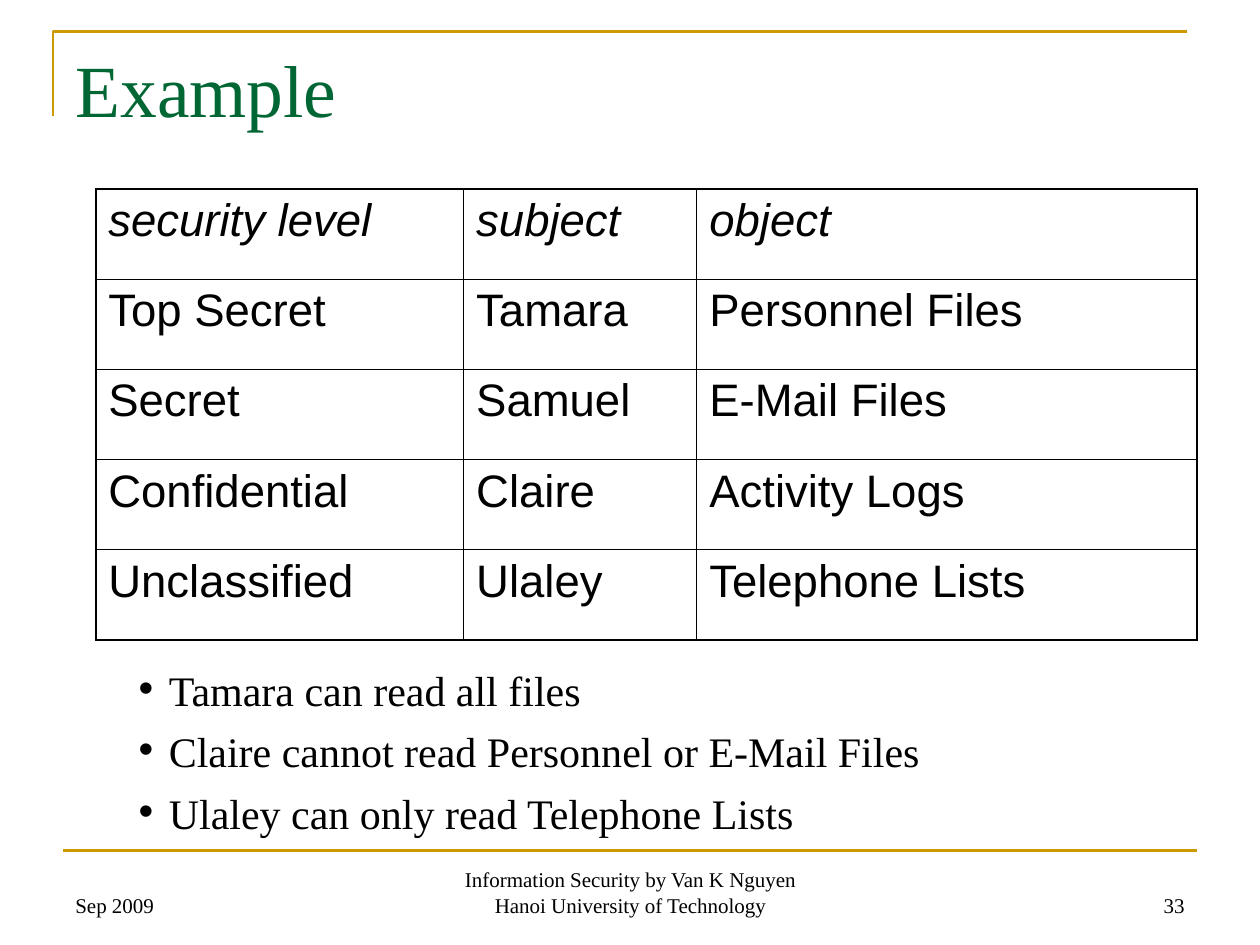
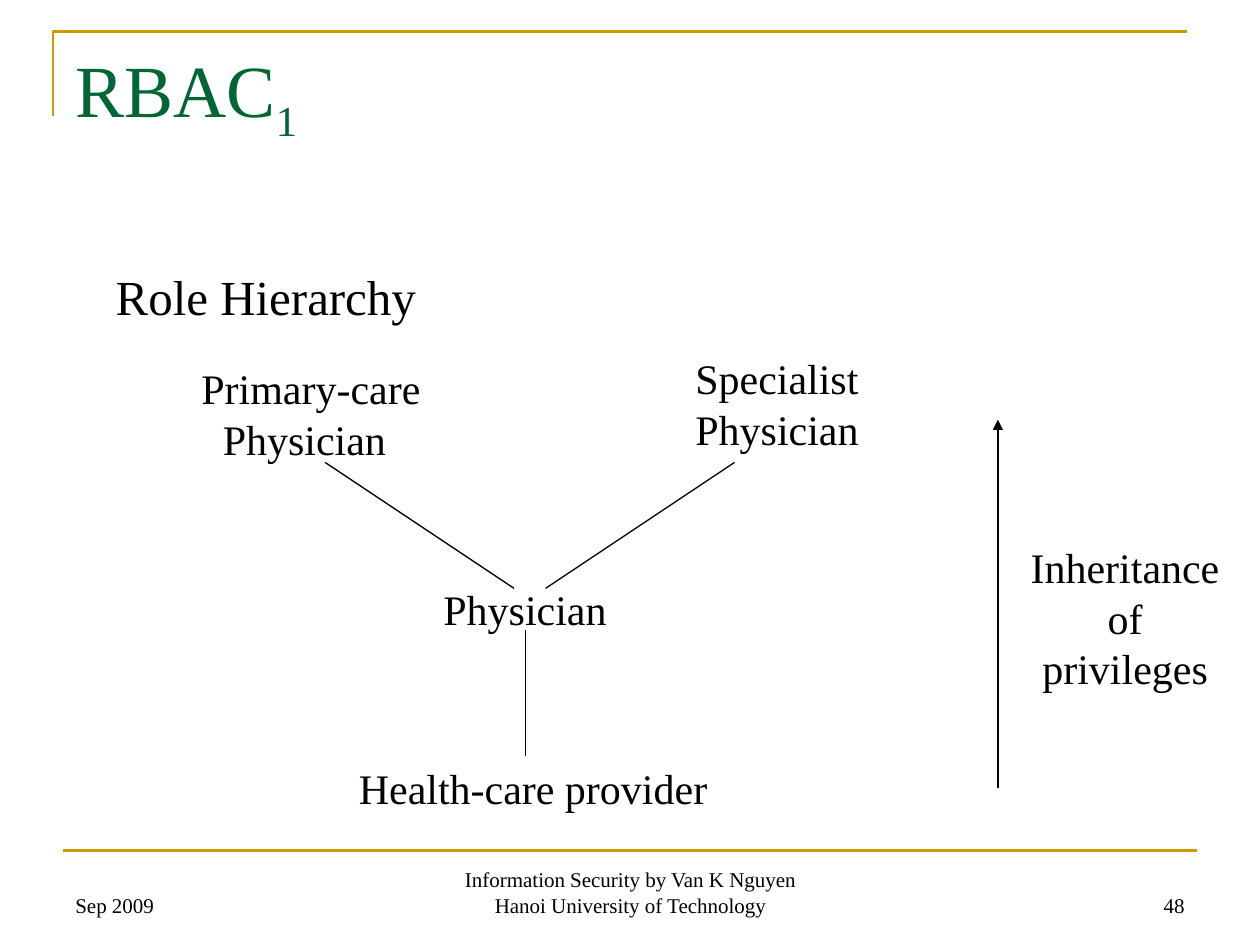
from dataclasses import dataclass

from lxml import etree
from pptx import Presentation
from pptx.dml.color import RGBColor
from pptx.enum.shapes import MSO_CONNECTOR
from pptx.enum.text import MSO_ANCHOR, MSO_AUTO_SIZE, PP_ALIGN
from pptx.oxml.ns import qn
from pptx.util import Inches, Pt

LEFT, CENTER, RIGHT = PP_ALIGN.LEFT, PP_ALIGN.CENTER, PP_ALIGN.RIGHT
TOP, BOTTOM = MSO_ANCHOR.TOP, MSO_ANCHOR.BOTTOM
STRAIGHT = MSO_CONNECTOR.STRAIGHT
NO_FIT = MSO_AUTO_SIZE.NONE
TITLE_LIST, TITLE_ONLY = 1, 5


@dataclass(frozen=True)
class Theme:
    ink: str = "000000"
    green: str = "006633"
    gold: str = "CC9900"
    serif: str = "Times New Roman"
    sans: str = "Arial"
    title: int = 42
    head: int = 28
    text: int = 24
    cell: int = 26
    foot: int = 12
    rule: float = 1.5
    link: float = 0.75
    edge: float = 1.08
    grid: float = 0.45


THEME = Theme()

LEVELS = [
    ["security level", "subject", "object"],
    ["Top Secret", "Tamara", "Personnel Files"],
    ["Secret", "Samuel", "E-Mail Files"],
    ["Confidential", "Claire", "Activity Logs"],
    ["Unclassified", "Ulaley", "Telephone Lists"],
]
RIGHTS = [
    "Tamara can read all files",
    "Claire cannot read Personnel or E-Mail Files",
    "Ulaley can only read Telephone Lists",
]
ROLES = [
    (1.5, 2.83, 2.1, 0.9, ["Primary-care", "Physician"], LEFT, 0.17),
    (3.42, 4.58, 1.65, 0.5, ["Physician"], LEFT, 0),
    (5.42, 2.75, 1.65, 0.9, ["Specialist", "Physician"], LEFT, 0),
    (2.75, 6, 3.1, 0.5, ["Health-care provider"], LEFT, 0),
    (8.03, 4.25, 1.8, 1.3, ["Inheritance", "of", "privileges"], CENTER, 0),
]
LINKS = [
    ((4.17, 6), (4.17, 5)),
    ((4.08, 4.67), (2.58, 3.67)),
    ((4.33, 4.67), (5.83, 3.67)),
]


def place(shape, left, top, width, height):
    shape.left, shape.top = Inches(left), Inches(top)
    shape.width, shape.height = Inches(width), Inches(height)


def add_run(para, words, size, color=THEME.ink, face=THEME.serif, slant=False):
    run = para.add_run()
    run.text = words
    font = run.font
    font.size, font.name, font.italic = Pt(size), face, slant
    font.color.rgb = RGBColor.from_string(color)
    return run


def indent(para, left, first=0):
    props = para._p.get_or_add_pPr()
    props.set("marL", str(Inches(left)))
    props.set("indent", str(Inches(first)))
    return props


def add_lines(frame, lines, size, align=LEFT, shift=0):
    for i, words in enumerate(lines):
        para = frame.paragraphs[0] if i == 0 else frame.add_paragraph()
        if i and shift:
            indent(para, shift)
        para.alignment = align
        add_run(para, words, size)


def add_label(slide, left, top, width, height, lines, align=LEFT, shift=0,
              size=THEME.text, anchor=TOP):
    box = slide.shapes.add_textbox(0, 0, 0, 0)
    place(box, left, top, width, height)
    frame = box.text_frame
    frame.word_wrap, frame.vertical_anchor = True, anchor
    add_lines(frame, lines, size, align, shift)


def add_line(slide, start, end, color=THEME.ink, width=THEME.link, arrow=False):
    ends = [Inches(n) for n in (*start, *end)]
    line = slide.shapes.add_connector(STRAIGHT, *ends)
    line.line.color.rgb = RGBColor.from_string(color)
    line.line.width = Pt(width)
    if arrow:
        tip = etree.SubElement(line.line._get_or_add_ln(), qn("a:tailEnd"))
        tip.set("type", "triangle")
    etree.SubElement(line._element.spPr, qn("a:effectLst"))


def add_frame(slide, page):
    path = slide.shapes.build_freeform(Inches(0.42), Inches(0.92), scale=1.0)
    corner = [(Inches(0.42), Inches(0.25)), (Inches(9.42), Inches(0.25))]
    path.add_line_segments(corner, close=False)
    shape = path.convert_to_shape()
    shape.shadow.inherit = False
    shape.fill.background()
    shape.line.color.rgb = RGBColor.from_string(THEME.gold)
    shape.line.width = Pt(THEME.rule)
    add_line(slide, (0.5, 6.75), (9.5, 6.75), THEME.gold, THEME.rule)
    credit = "Information Security by Van K Nguyen Hanoi University of Technology"
    for left, width, words, align in [
        (0.5, 2.33, "Sep 2009", LEFT),
        (3.42, 3.17, credit, CENTER),
        (7.17, 2.33, str(page), RIGHT),
    ]:
        add_label(slide, left, 6.83, width, 0.5, [words], align,
                  size=THEME.foot, anchor=BOTTOM)


def add_title(slide, words, sub=""):
    title = slide.shapes.title
    place(title, 0.5, 0.3, 9, 1.25)
    frame = title.text_frame
    frame.auto_size, frame.vertical_anchor = NO_FIT, TOP
    frame.margin_top = Inches(0.05)
    para = frame.paragraphs[0]
    para.alignment = LEFT
    add_run(para, words, THEME.title, THEME.green)
    if sub:
        run = add_run(para, sub, THEME.title, THEME.green)
        run._r.get_or_add_rPr().set("baseline", "-25000")


def add_slide(deck, layout, page, words, sub=""):
    slide = deck.slides.add_slide(deck.slide_layouts[layout])
    add_frame(slide, page)
    add_title(slide, words, sub)
    return slide


def add_list(slide, items):
    body = slide.placeholders[1]
    place(body, 1, 5.33, 8.23, 1.36)
    frame = body.text_frame
    frame.auto_size = NO_FIT
    for i, words in enumerate(items):
        para = frame.paragraphs[0] if i == 0 else frame.add_paragraph()
        props = indent(para, 0.24, -0.24)
        etree.SubElement(props, qn("a:buChar")).set("char", "•")
        para.line_spacing = 0.7
        para.space_before = Pt(15 if i else 0)
        add_run(para, words, THEME.text)


def add_edge(cell, side, width):
    props = cell._tc.get_or_add_tcPr()
    edge = etree.SubElement(props, qn("a:ln" + side))
    edge.set("w", str(Pt(width)))
    fill = etree.SubElement(edge, qn("a:solidFill"))
    etree.SubElement(fill, qn("a:srgbClr")).set("val", THEME.ink)


def add_grid(slide, rows, widths, left, top, height):
    size = [Inches(n) for n in (left, top, sum(widths), height)]
    table = slide.shapes.add_table(len(rows), len(widths), *size).table
    table.first_row = table.horz_banding = False
    for col, width in zip(table.columns, widths):
        col.width = Inches(width)
    last_row, last_col = len(rows) - 1, len(widths) - 1
    for r, row in enumerate(rows):
        for c, words in enumerate(row):
            cell = table.cell(r, c)
            outer = {"L": c == 0, "R": c == last_col,
                     "T": r == 0, "B": r == last_row}
            for side, rim in outer.items():
                add_edge(cell, side, THEME.edge if rim else THEME.grid)
            cell.fill.background()
            add_run(cell.text_frame.paragraphs[0], words, THEME.cell,
                    face=THEME.sans, slant=r == 0)


def main():
    deck = Presentation()
    deck.slide_width, deck.slide_height = Inches(10), Inches(7.5)

    levels = add_slide(deck, TITLE_LIST, 33, "Example")
    add_grid(levels, LEVELS, [2.92, 1.85, 3.97], 0.76, 1.5, 3.58)
    add_list(levels, RIGHTS)

    roles = add_slide(deck, TITLE_ONLY, 48, "RBAC", "1")
    add_label(roles, 0.82, 2.07, 2.75, 0.57, ["Role Hierarchy"], size=THEME.head)
    for role in ROLES:
        add_label(roles, *role)
    for start, end in LINKS:
        add_line(roles, start, end)
    add_line(roles, (7.92, 6.25), (7.92, 3.33), arrow=True)

    deck.save("out.pptx")


if __name__ == "__main__":
    main()
